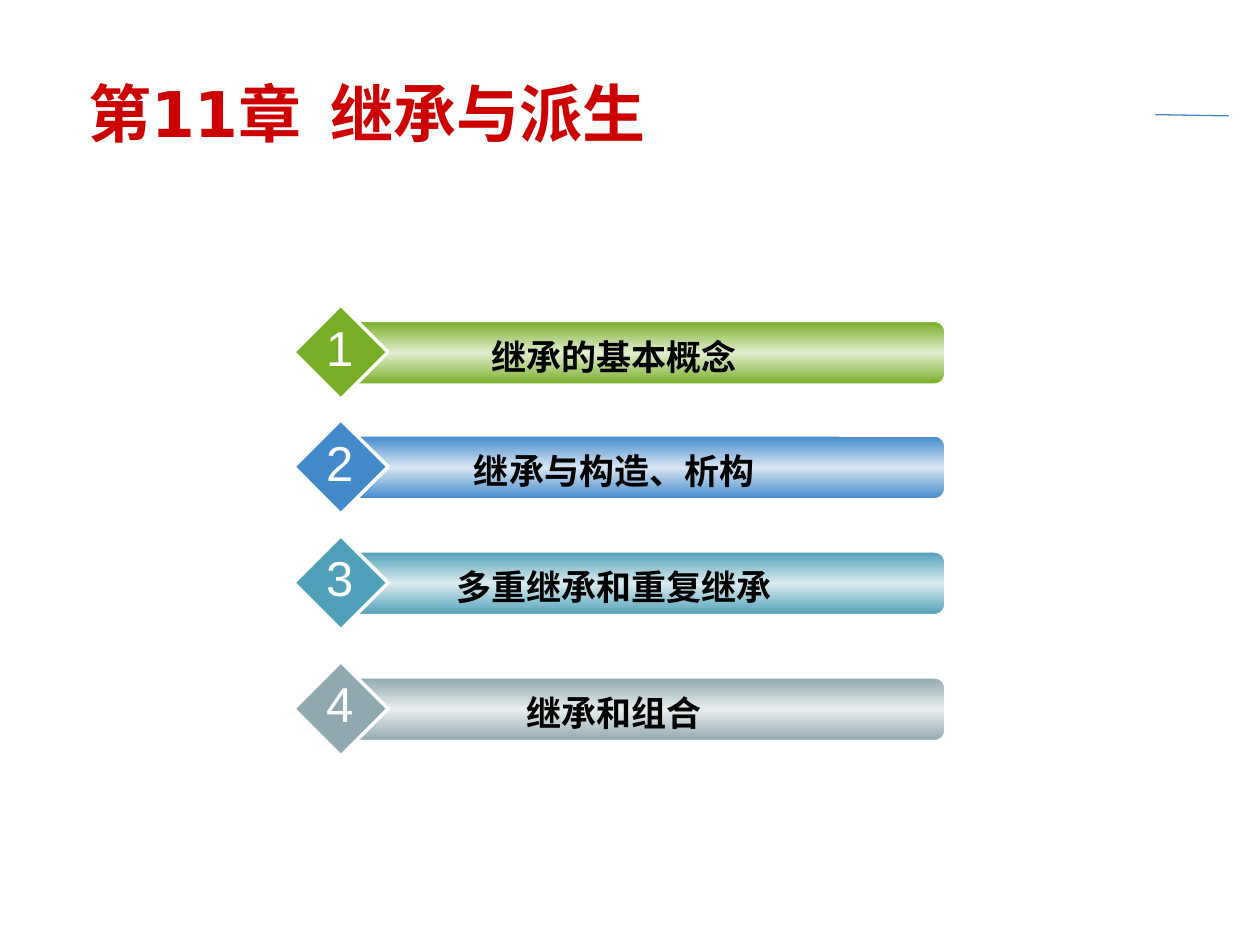
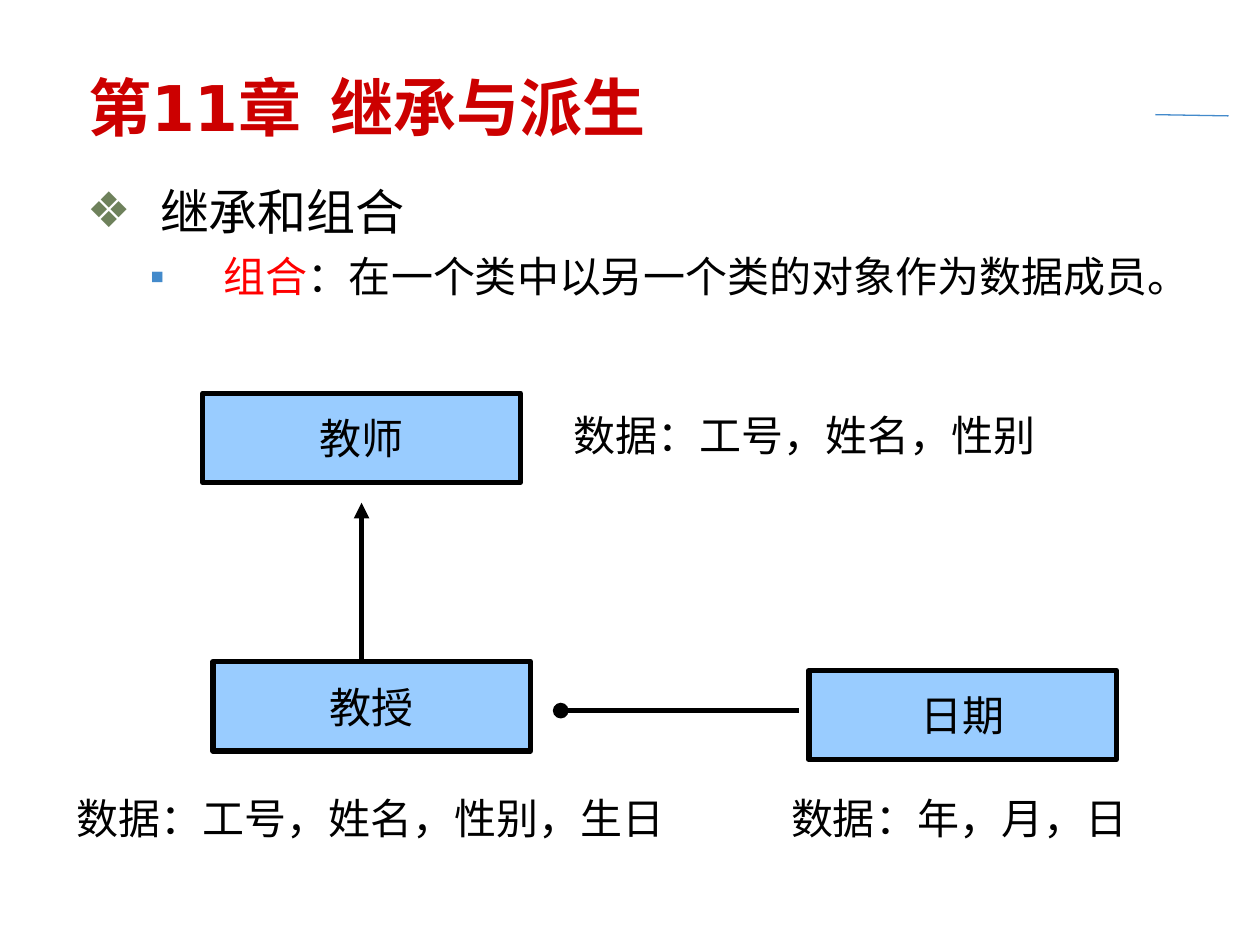
from copy import deepcopy
from dataclasses import dataclass

from lxml import etree
from pptx import Presentation
from pptx.dml.color import RGBColor as RGB
from pptx.enum.shapes import MSO_CONNECTOR as LINK, MSO_SHAPE as SHAPE
from pptx.enum.text import MSO_ANCHOR as ANCHOR, MSO_AUTO_SIZE as FIT, PP_ALIGN as ALIGN
from pptx.oxml.ns import qn
from pptx.util import Inches, Pt


@dataclass(frozen=True)
class Theme:
    red: str = "CC0000"
    key: str = "FF0000"
    ink: str = "000000"
    white: str = "FFFFFF"
    blue: str = "438ACB"
    box: str = "99CCFF"
    olive: str = "6E815B"
    rows: tuple = ("77AE26", "438ACB", "51A0B9", "90A8B0")
    head: int = 36
    big: int = 28
    text: int = 24
    small: int = 20
    face: str = "Arial"
    wide: str = "DejaVu Sans"


def rgb(code):
    return RGB.from_string(code)


def tint(code, share=0.79):
    """Mix a colour with the given share of white."""
    return RGB(*(round(c + (255 - c) * share) for c in rgb(code)))


def place(item, at):
    item.left, item.top, item.width, item.height = map(Inches, at)


class Deck:
    def __init__(self, theme):
        self.theme = theme
        self.prs = Presentation()
        self.prs.slide_width, self.prs.slide_height = Inches(10), Inches(7.5)

    def page(self, layout, title, at):
        """Start a slide with the shared rule and title style."""
        t = self.theme
        self.slide = self.prs.slides.add_slide(self.prs.slide_layouts[layout])
        self.host = self.slide.shapes
        self.line((9.17, 0.91), (9.75, 0.92), t.blue, 0.75)
        head = self.slide.shapes.title
        place(head, at)
        frame = head.text_frame
        frame.auto_size, frame.vertical_anchor = FIT.NONE, ANCHOR.MIDDLE
        frame.text = title
        para = frame.paragraphs[0]
        para.alignment = ALIGN.LEFT
        self.font(para, t.head, t.red, True, t.wide)

    def group(self):
        """Send the next elements into a new group."""
        self.host = self.slide.shapes.add_group_shape().shapes

    def font(self, para, size, color, bold=False, face=None):
        font = para.font
        font.size, font.bold = Pt(size), bold
        font.name = face or self.theme.face
        font.color.rgb = rgb(color)

    def text(self, words, at, size, color, bold=False, align=ALIGN.LEFT, wrap=True):
        area = self.host.add_textbox(*map(Inches, at))
        frame = area.text_frame
        frame.word_wrap, frame.auto_size = wrap, FIT.SHAPE_TO_FIT_TEXT
        frame.text = words
        para = frame.paragraphs[0]
        para.alignment = align
        self.font(para, size, color, bold)

    def shape(self, kind, at, fill, edge, width):
        item = self.host.add_shape(kind, *map(Inches, at))
        item.shadow.inherit = False
        item.fill.solid()
        item.fill.fore_color.rgb = rgb(fill)
        item.line.color.rgb = rgb(edge)
        item.line.width = Pt(width)
        return item

    def bar(self, at, color):
        """Rounded bar shaded from its colour to a light middle and back."""
        item = self.shape(SHAPE.ROUNDED_RECTANGLE, at, color, self.theme.white, 1)
        fill = item.fill
        fill.gradient()
        fill.gradient_angle = 90
        first = next(item._element.spPr.iter(qn("a:gs")))
        first.addnext(deepcopy(first))
        shades = rgb(color), tint(color), rgb(color)
        for n, (stop, shade) in enumerate(zip(fill.gradient_stops, shades)):
            stop.position = n / 2
            stop.color.rgb = shade

    def box(self, words, at):
        t = self.theme
        item = self.shape(SHAPE.RECTANGLE, at, t.box, t.ink, 3)
        frame = item.text_frame
        frame.word_wrap, frame.vertical_anchor = False, ANCHOR.MIDDLE
        frame.text = words
        para = frame.paragraphs[0]
        para.alignment = ALIGN.CENTER
        self.font(para, t.text, t.ink)

    def line(self, start, end, color, width, tail=None):
        item = self.host.add_connector(LINK.STRAIGHT, *map(Inches, start + end))
        item.line.color.rgb = rgb(color)
        item.line.width = Pt(width)
        if tail:
            etree.SubElement(item.line._get_or_add_ln(), qn("a:tailEnd"), type=tail)
        etree.SubElement(item._element.spPr, qn("a:effectLst"))

    def bullet(self, para, mark, color, indent):
        props = para._p.get_or_add_pPr()
        props.set("marL", str(Inches(indent)))
        props.set("indent", str(-Inches(0.58)))
        tone = etree.SubElement(props, qn("a:buClr"))
        etree.SubElement(tone, qn("a:srgbClr"), val=color)
        etree.SubElement(props, qn("a:buChar"), char=mark)

    def body(self, at, items):
        """Fill the body placeholder; an item is level, mark, mark colour, size, face, runs."""
        area = self.slide.placeholders[1]
        place(area, at)
        frame = area.text_frame
        frame.auto_size = FIT.NONE
        for n, (level, mark, tone, size, face, runs) in enumerate(items):
            para = frame.add_paragraph() if n else frame.paragraphs[0]
            para.level = level
            self.bullet(para, mark, tone, 0.58 + level / 2)
            para.space_before = Pt(6 if n else 0)
            self.font(para, size, self.theme.ink, face=face)
            for words, color in runs:
                run = para.add_run()
                run.text = words
                run.font.color.rgb = rgb(color)


TITLE = "第11章  继承与派生"


def agenda(deck):
    t = deck.theme
    deck.page(5, TITLE, (0.6, 0.58, 7.48, 0.62))
    topics = "继承的基本概念", "继承与构造、析构", "多重继承和重复继承", "继承和组合"
    tops = 2.42, 3.33, 4.25, 5.25
    for n, (topic, top, color) in enumerate(zip(topics, tops, t.rows), 1):
        deck.group()
        deck.bar((2.75, top + 0.13, 4.75, 0.5), color)
        deck.shape(SHAPE.DIAMOND, (2.33, top, 0.75, 0.75), color, t.white, 2)
        deck.text(topic, (3, top + 0.19, 3.75, 0.44), t.small, t.ink, True, ALIGN.CENTER)
        deck.text(str(n), (2.49, top + 0.05, 0.41, 0.57), t.big, t.white,
                  align=ALIGN.CENTER, wrap=False)


def compose(deck):
    t = deck.theme
    deck.page(1, TITLE, (0.6, 0.53, 8.49, 0.62))
    deck.body((0.59, 1.39, 9.14, 5.36), [
        (0, "❖", t.olive, t.big, t.wide, [("继承和组合", t.ink)]),
        (1, "▪", t.blue, t.text, t.face,
         [("组合", t.key), ("：在一个类中以另一个类的对象作为数据成员。", t.ink)]),
    ])
    for name, left, top, width in (("教授", 1.69, 5.25, 2.52), ("教师", 1.61, 3.12, 2.52),
                                   ("日期", 6.42, 5.32, 2.44)):
        deck.box(name, (left, top, width, 0.71))
    deck.line((2.87, 5.25), (2.87, 3.99), t.ink, 3, "triangle")
    deck.line((6.34, 5.64), (4.45, 5.64), t.ink, 3, "oval")
    for data, left, top, width in (("工号，姓名，性别", 4.45, 3.2, 4.33),
                                   ("年，月，日", 6.18, 6.24, 3.07),
                                   ("工号，姓名，性别，生日", 0.51, 6.24, 5.04)):
        deck.text("数据：" + data, (left, top, width, 0.5), t.text, t.ink)


def main():
    deck = Deck(Theme())
    agenda(deck)
    compose(deck)
    deck.prs.save("out.pptx")


if __name__ == "__main__":
    main()
